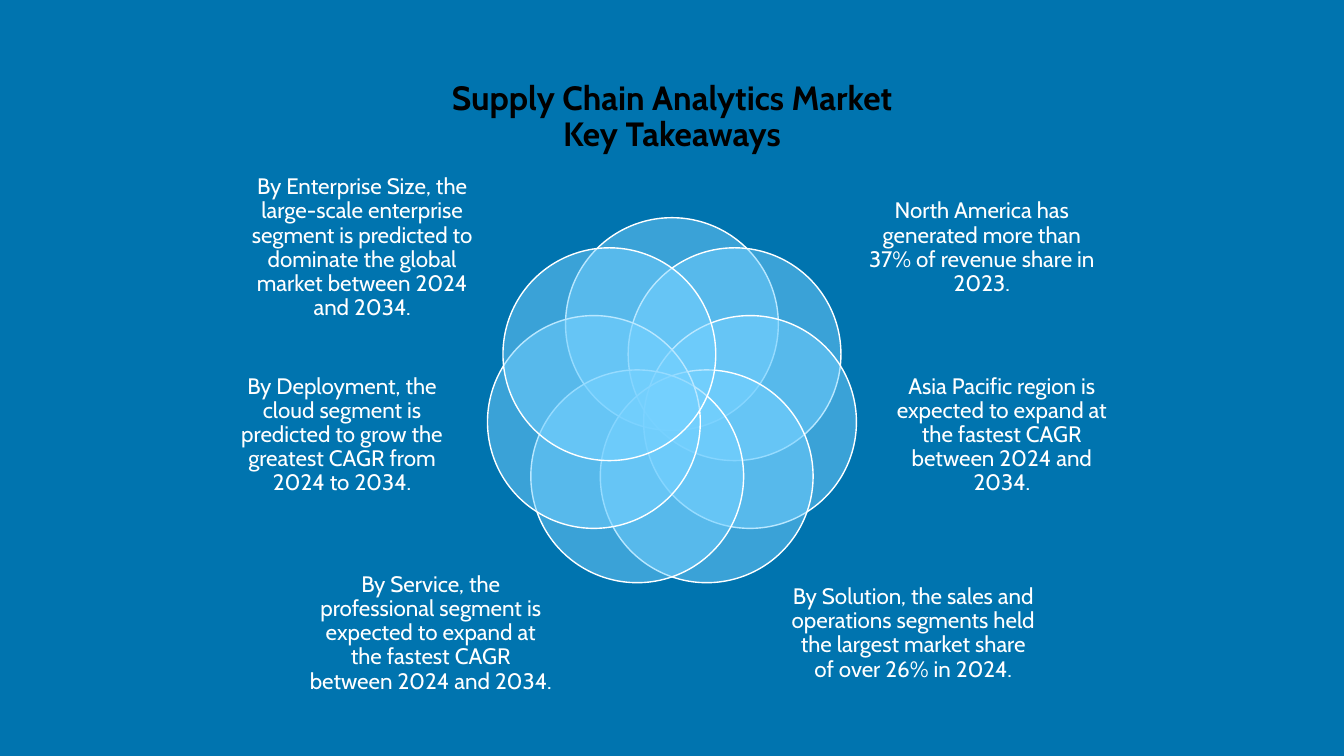
from math import cos, pi, sin

from lxml import etree
from pptx import Presentation
from pptx.dml.color import RGBColor
from pptx.enum.shapes import MSO_SHAPE as Shape
from pptx.enum.text import MSO_ANCHOR as Anchor, PP_ALIGN as Align
from pptx.oxml.ns import qn
from pptx.util import Pt

SLIDE_WIDTH, SLIDE_HEIGHT = 960, 540
BLUE, SKY, WHITE, BLACK = "0074AF", "75D1FF", "FFFFFF", "000000"

# Ring of overlapping circles
RING_X, RING_Y, RING_RADIUS = 480, 288.7, 57.2
DIAMETER = 152

# Right-hand text areas: left, top, width, height
UPPER = (619.2, 126, 164.2, 102.2)
MIDDLE = (635, 256.3, 161.3, 109.4)
LOWER = (565.2, 402.5, 174.25, 100.1)

TITLE = "Supply Chain Analytics Market Key Takeaways"
TITLE_AREA = (312.25, 37.4, 335.5, 92.9)


def mirrored(area):
    left, top, width, height = area
    return SLIDE_WIDTH - left - width, top, width, height


# Clockwise from the upper right
TAKEAWAYS = [
    ("North America has generated more than 37% of revenue share in 2023.", UPPER),
    ("Asia Pacific region is expected to expand at the fastest CAGR "
     "between 2024 and 2034.", MIDDLE),
    ("By Solution, the sales and operations segments held the largest "
     "market share of over 26% in 2024.", LOWER),
    ("By Service, the professional segment is expected to expand at the "
     "fastest CAGR between 2024 and 2034.", mirrored(LOWER)),
    ("By Deployment, the cloud segment is predicted to grow the greatest "
     "CAGR from 2024 to 2034.", mirrored(MIDDLE)),
    ("By Enterprise Size, the large-scale enterprise segment is predicted "
     "to dominate the global market between 2024 and 2034.", mirrored(UPPER)),
]


def paint(color_format, hex_color):
    color_format.rgb = RGBColor.from_string(hex_color)


def add_text(slide, text, area, size=16, color=WHITE, bold=False):
    box = slide.shapes.add_textbox(*map(Pt, area))
    frame = box.text_frame
    frame.word_wrap = True
    frame.vertical_anchor = Anchor.MIDDLE
    frame.margin_left = frame.margin_right = 0
    frame.margin_top = frame.margin_bottom = 0
    paragraph = frame.paragraphs[0]
    paragraph.alignment = Align.CENTER
    paragraph.line_spacing = 0.9
    run = paragraph.add_run()
    run.text = text
    run.font.name = "Cabin"
    run.font.size = Pt(size)
    run.font.bold = bold
    paint(run.font.color, color)


def add_circle(slide, angle):
    left = RING_X + RING_RADIUS * sin(angle) - DIAMETER / 2
    top = RING_Y - RING_RADIUS * cos(angle) - DIAMETER / 2
    circle = slide.shapes.add_shape(
        Shape.OVAL, Pt(left), Pt(top), Pt(DIAMETER), Pt(DIAMETER))
    circle.shadow.inherit = False
    circle.fill.solid()
    paint(circle.fill.fore_color, SKY)
    # Half-transparent fill
    fill_color = circle.element.spPr.find(qn("a:solidFill"))[0]
    etree.SubElement(fill_color, qn("a:alpha"), val="50000")
    paint(circle.line.color, WHITE)
    circle.line.width = Pt(1)


def main():
    deck = Presentation()
    deck.slide_width, deck.slide_height = Pt(SLIDE_WIDTH), Pt(SLIDE_HEIGHT)
    slide = deck.slides.add_slide(deck.slide_layouts[6])
    slide.background.fill.solid()
    paint(slide.background.fill.fore_color, BLUE)

    # Title with the top circle
    add_circle(slide, 0)
    add_text(slide, TITLE, TITLE_AREA, size=24, color=BLACK, bold=True)

    # One circle for each takeaway
    step = 2 * pi / (len(TAKEAWAYS) + 1)
    for position, (takeaway, area) in enumerate(TAKEAWAYS, start=1):
        add_circle(slide, position * step)
        add_text(slide, takeaway, area)

    deck.save("out.pptx")


if __name__ == "__main__":
    main()
